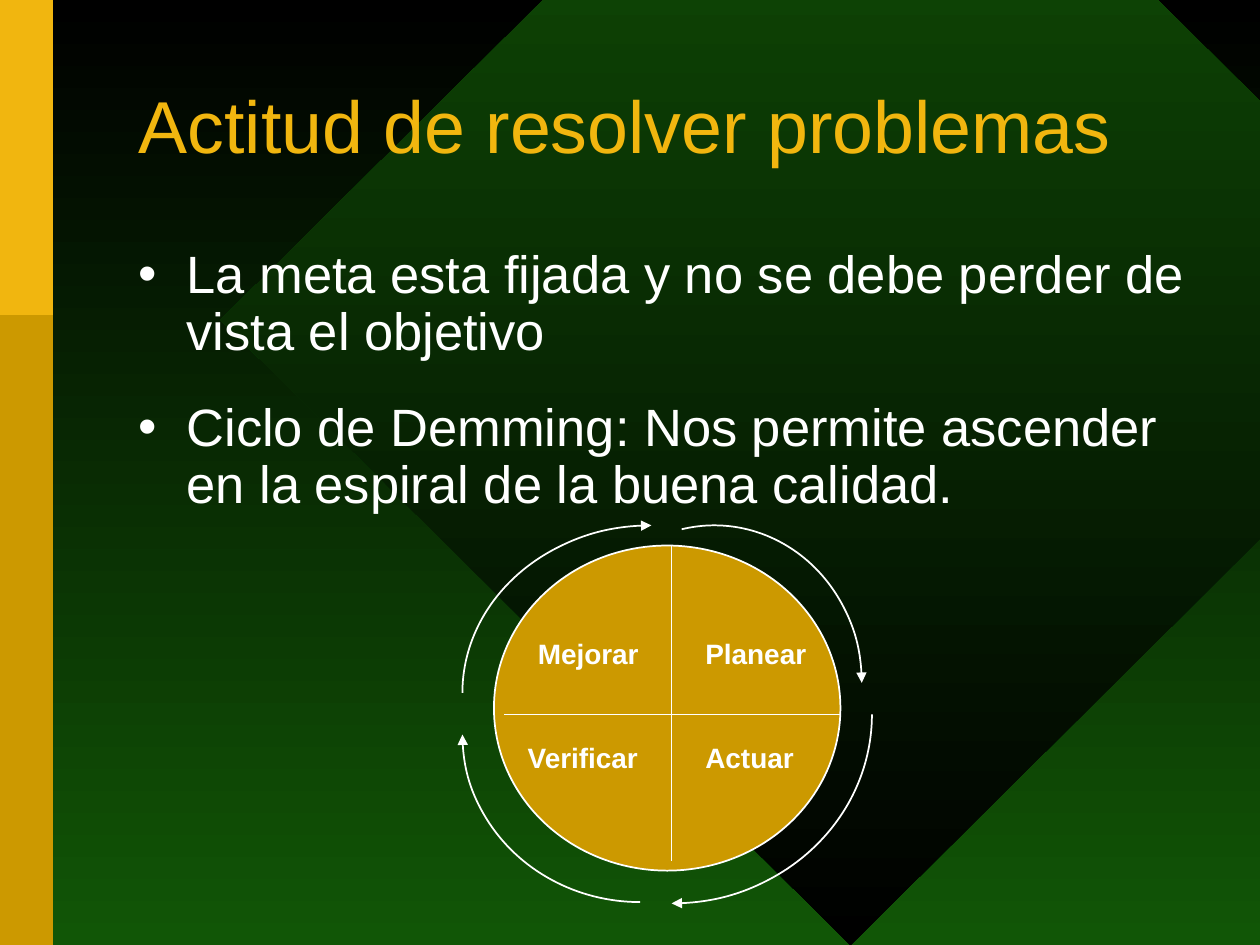
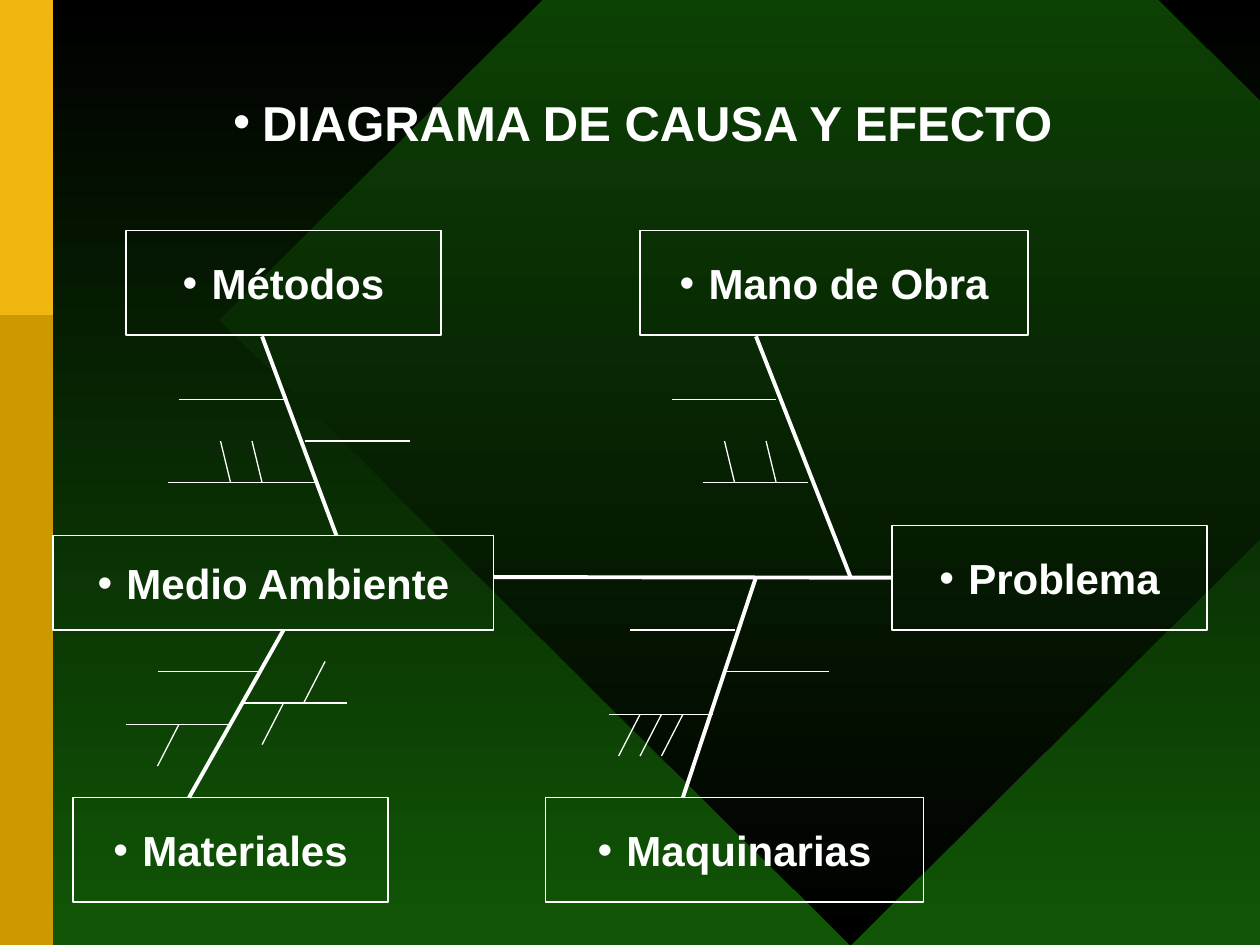
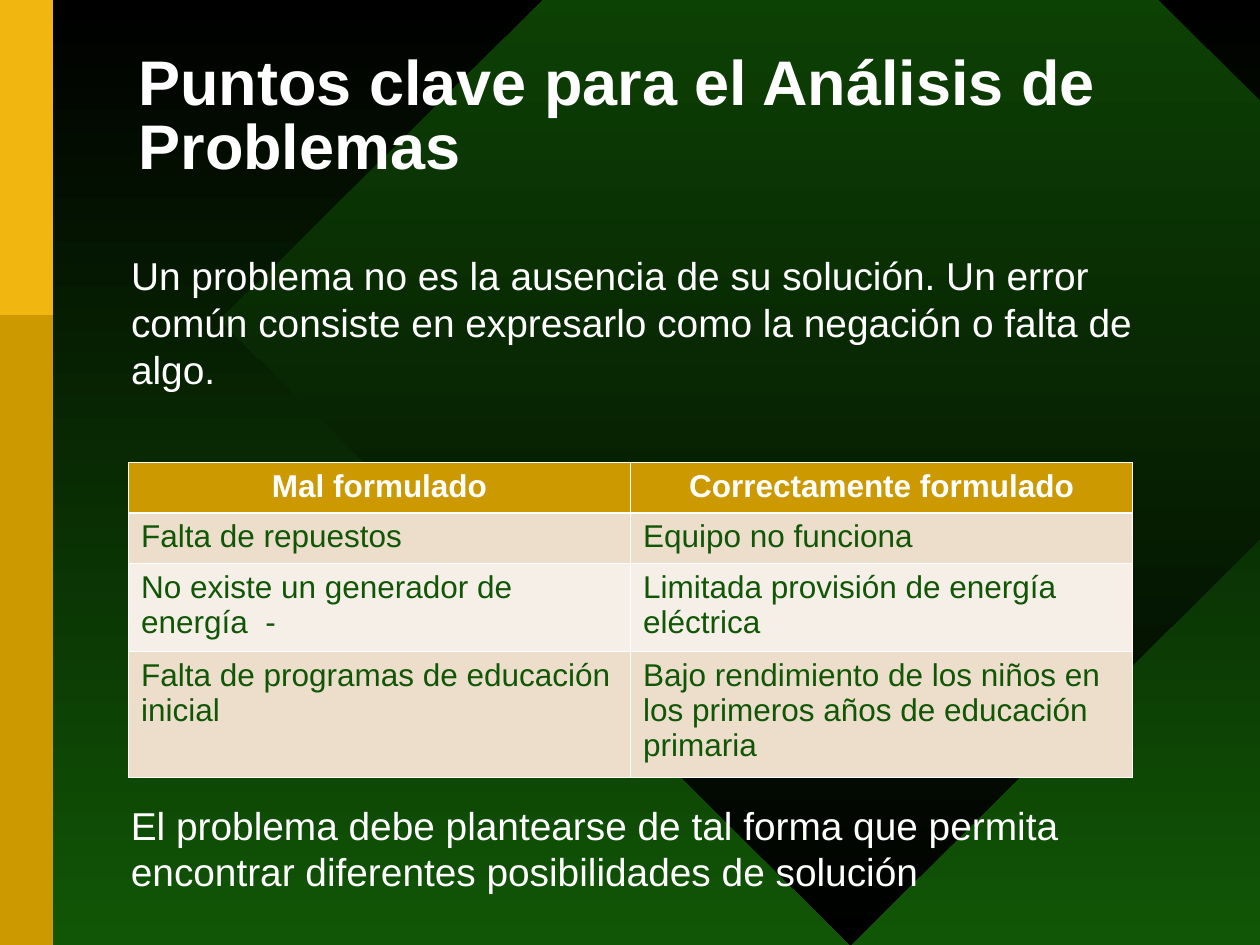
from pptx import Presentation
from pptx import util as u
from pptx.dml.color import RGBColor
from pptx.enum import shapes, text
from pptx.oxml import ns
from lxml import etree

COLORS = {
    "black": "000000",
    "green": "115606",
    "gold": "CC9900",
    "yellow": "F1B60F",
    "white": "FFFFFF",
    "sand": "ECDECB",
    "cream": "F6EFE7",
}
FONT = "Arial"
SHAPE = shapes.MSO_SHAPE

QUADRANTS = [("Mejorar", 4.17, 5), ("Planear", 5.5, 5),
             ("Verificar", 4.09, 5.83), ("Actuar", 5.5, 5.83)]
# centre x, centre y, radius x, radius y, start and end angle (clockwise)
CYCLE_ARCS = [(5.17, 5.5, 1.5, 1.33, 180, 270), (5.67, 5.42, 1.17, 1.25, 258, 0),
              (5.33, 5.67, 1.59, 1.5, 0, 90), (5.08, 5.83, 1.41, 1.33, 90, 180)]

CAUSES = [("Medio Ambiente", 0.42, 4.25, 3.5, 0.75),
          ("Materiales", 0.58, 6.33, 2.5, 0.83),
          ("Métodos", 1, 1.83, 2.5, 0.83),
          ("Mano de Obra", 5.08, 1.83, 3.08, 0.83),
          ("Maquinarias", 4.33, 6.33, 3, 0.83)]
BONES = [(2.08, 2.67, 2.67, 4.25), (1.5, 6.33, 2.25, 5),
         (5.42, 6.33, 6, 4.58), (6, 2.67, 6.75, 4.58)]
# step of each kind of twig, then the points where its twigs start
TWIGS = [
    ((0.83, 0), [(1.42, 3.17), (5.33, 3.17), (1.25, 5.33), (1, 5.75), (2.42, 3.5),
                 (5.58, 3.83), (5.75, 5.33), (5, 5), (4.83, 5.67), (1.92, 5.58)]),
    ((1.17, 0), [(1.33, 3.83)]),
    ((-0.17, 0.33), [(1.42, 5.75), (2.25, 5.58), (2.58, 5.25),
                     (5.08, 5.67), (5.25, 5.67), (5.42, 5.67)]),
    ((0.08, 0.33), [(1.75, 3.5), (2, 3.5), (5.75, 3.5), (6.08, 3.5)]),
]
DIAGRAM_INDENT = 0.23

ROWS = [
    ("Mal formulado", "Correctamente formulado"),
    ("Falta de repuestos", "Equipo no funciona"),
    ("No existe un generador de energía  -", "Limitada provisión de energía eléctrica"),
    ("Falta de programas de educación inicial",
     "Bajo rendimiento de los niños en los primeros años de educación primaria"),
]
ROW_HEIGHTS = [0.4, 0.4, 0.7, 1]


def rgb(name):
    return RGBColor.from_string(COLORS[name])


def box(*lengths):
    return [u.Inches(n) for n in lengths]


def add_xml(parent, tag, **attrs):
    return etree.SubElement(parent, ns.qn(tag), attrs)


def solid(fill, color):
    fill.solid()
    fill.fore_color.rgb = rgb(color)


def vertical_gradient(fill, top, bottom):
    fill.gradient()
    fill.gradient_angle = 270
    for stop, color, position in zip(fill.gradient_stops, (top, bottom), (0, 1)):
        stop.color.rgb = rgb(color)
        stop.position = position


def format_paragraph(p, size, color="white", bold=False, align=text.PP_ALIGN.LEFT,
                     spacing=None, before=0):
    p.alignment = align
    p.line_spacing = spacing
    p.space_before = u.Pt(before)
    for r in p.runs:
        r.font.name = FONT
        r.font.size = u.Pt(size)
        r.font.bold = bold
        r.font.color.rgb = rgb(color)


def set_bullet(p, indent, char="•"):
    """Give the paragraph a hanging bullet, or none when char is empty."""
    pPr = p._p.get_or_add_pPr()
    pPr.set("marL", str(u.Inches(indent)))
    pPr.set("indent", str(-u.Inches(indent)))
    if not char:
        add_xml(pPr, "a:buNone")
        return
    add_xml(add_xml(pPr, "a:buClr"), "a:srgbClr", val=COLORS["white"])
    add_xml(pPr, "a:buFont", typeface=FONT)
    add_xml(pPr, "a:buChar", char=char)


def place(sp, at):
    sp.left, sp.top, sp.width, sp.height = box(*at)
    sp.text_frame.auto_size = text.MSO_AUTO_SIZE.NONE


def set_title(slide, words, at, size, **style):
    sp = slide.shapes.title
    place(sp, at)
    tf = sp.text_frame
    tf.text = words
    tf.vertical_anchor = text.MSO_ANCHOR.MIDDLE
    format_paragraph(tf.paragraphs[0], size, **style)
    return tf.paragraphs[0]


def fill_body(slide, lines, at, size, indent, char, **style):
    sp = slide.placeholders[1]
    place(sp, at)
    tf = sp.text_frame
    tf.text = "\n".join(lines)
    for p in tf.paragraphs:
        format_paragraph(p, size, **style)
        set_bullet(p, indent, char)


def add_label(slide, words, at, size, wrap=False, **style):
    tf = slide.shapes.add_textbox(*box(*at)).text_frame
    tf.word_wrap = wrap
    tf.text = words
    format_paragraph(tf.paragraphs[0], size, **style)


def add_shape(slide, kind, at, fill=None, line=None):
    """Add a flat shape; line is the width of its white outline in points."""
    sp = slide.shapes.add_shape(kind, *box(*at))
    sp.shadow.inherit = False
    if fill:
        solid(sp.fill, fill)
    else:
        sp.fill.background()
    if line:
        sp.line.color.rgb = rgb("white")
        sp.line.width = u.Pt(line)
    else:
        sp.line.fill.background()
    return sp


def add_line(slide, x1, y1, x2, y2, width):
    cn = slide.shapes.add_connector(shapes.MSO_CONNECTOR.STRAIGHT, *box(x1, y1, x2, y2))
    cn.line.color.rgb = rgb("white")
    cn.line.width = u.Pt(width)
    add_xml(cn._element.spPr, "a:effectLst")
    return cn


def add_arc_arrow(slide, cx, cy, rx, ry, start, end):
    sp = add_shape(slide, SHAPE.ARC, (cx - rx, cy - ry, 2 * rx, 2 * ry), line=1)
    for i, degrees in enumerate((start, end)):
        sp.adjustments[i] = degrees * 0.6
    add_xml(sp.line._get_or_add_ln(), "a:tailEnd", type="triangle")


def add_cause(slide, words, *at):
    sp = add_shape(slide, SHAPE.RECTANGLE, at, line=0.75)
    tf = sp.text_frame
    tf.text = words
    p = tf.paragraphs[0]
    format_paragraph(p, 24, bold=True, align=text.PP_ALIGN.CENTER)
    set_bullet(p, DIAGRAM_INDENT)
    return sp


def set_borders(cell, **widths):
    tcPr = cell._tc.get_or_add_tcPr()
    for side in "LRTB":
        ln = add_xml(tcPr, "a:ln" + side, w=str(u.Pt(widths.get(side, 0.45))))
        add_xml(add_xml(ln, "a:solidFill"), "a:srgbClr", val=COLORS["white"])


def add_comparison(slide, at):
    table = slide.shapes.add_table(len(ROWS), 2, *box(*at)).table
    for i, (row, height) in enumerate(zip(ROWS, ROW_HEIGHTS)):
        table.rows[i].height = u.Inches(height)
        for j, words in enumerate(row):
            cell = table.cell(i, j)
            cell.text = words
            p = cell.text_frame.paragraphs[0]
            if i == 0:
                format_paragraph(p, 18, bold=True, align=text.PP_ALIGN.CENTER)
                set_borders(cell, B=1.47)
                solid(cell.fill, "gold")
            else:
                format_paragraph(p, 18, "green")
                set_borders(cell, T=1.47 if i == 1 else 0.45)
                solid(cell.fill, "sand" if i % 2 else "cream")


def decorate_master(prs, slide):
    """Draw the diamond and side bands, then move them behind the master's text."""
    master = prs.slide_master
    vertical_gradient(master.background.fill, "black", "green")
    diamond = add_shape(slide, SHAPE.DIAMOND, (1.75, -2.42, 10, 9.92))
    vertical_gradient(diamond.fill, "green", "black")
    band = add_shape(slide, SHAPE.RECTANGLE, (0, 0, 0.42, 7.5), "gold")
    accent = add_shape(slide, SHAPE.RECTANGLE, (0, 0, 0.42, 2.5), "yellow")
    for i, sp in enumerate((diamond, band, accent)):
        sp.element.nvSpPr.cNvPr.set("id", str(101 + i))
        master.shapes.element.insert(2 + i, sp.element)


def build_cycle(slide):
    set_title(slide, "Actitud de resolver problemas", (1, 0, 8.25, 2.08), 42,
              color="yellow", spacing=0.85)
    fill_body(slide, ["La meta esta fijada y no se debe perder de vista el objetivo",
                      "Ciclo de Demming: Nos permite ascender en la espiral de la buena calidad."],
              (1, 1.92, 8.55, 2.33), 30, 0.38, "•", spacing=0.9, before=22.5)
    add_shape(slide, SHAPE.OVAL, (3.92, 4.33, 2.75, 2.58), "gold", 1)
    add_line(slide, 5.33, 4.33, 5.33, 6.83, 1)
    add_line(slide, 4, 5.67, 6.67, 5.67, 1)
    for arc in CYCLE_ARCS:
        add_arc_arrow(slide, *arc)
    for words, x, y in QUADRANTS:
        add_label(slide, words, (x, y, 1.2, 0.37), 16, bold=True)


def build_fishbone(slide):
    p = set_title(slide, "DIAGRAMA DE CAUSA Y EFECTO", (1.75, 0.68, 6.83, 0.57), 28, bold=True)
    set_bullet(p, DIAGRAM_INDENT)
    for cause in CAUSES:
        add_cause(slide, *cause)
    problem = add_cause(slide, "Problema", 7.08, 4.17, 2.5, 0.83)
    spine = add_line(slide, 3.92, 4.58, 7.08, 4.58, 2.25)
    spine.end_connect(problem, 1)
    for bone in BONES:
        add_line(slide, *bone, 2.25)
    for (dx, dy), starts in TWIGS:
        for x, y in starts:
            add_line(slide, x, y, x + dx, y + dy, 0.75)


def build_key_points(slide):
    set_title(slide, "Puntos clave para el Análisis de Problemas", (1, 0, 8.25, 1.88), 36,
              bold=True, spacing=0.85)
    fill_body(slide, ["Un problema no es la ausencia de su solución. Un error común consiste "
                      "en expresarlo como la negación o falta de algo."],
              (0.94, 1.95, 8.25, 1.3), 22.2, 0, "", spacing=1.0)
    add_comparison(slide, (1.02, 3.67, 7.97, 2.5))
    add_label(slide, "El problema debe plantearse de tal forma que permita encontrar "
                     "diferentes posibilidades de solución",
              (0.94, 6.31, 8.25, 0.8), 22.2, wrap=True, spacing=1.0)


def main():
    prs = Presentation()
    prs.slide_width, prs.slide_height = box(10, 7.5)
    content, title_only = prs.slide_layouts[1], prs.slide_layouts[5]
    cycle, fishbone, key_points = [prs.slides.add_slide(layout)
                                   for layout in (content, title_only, content)]
    decorate_master(prs, cycle)
    build_cycle(cycle)
    build_fishbone(fishbone)
    build_key_points(key_points)
    prs.save("out.pptx")


if __name__ == "__main__":
    main()
